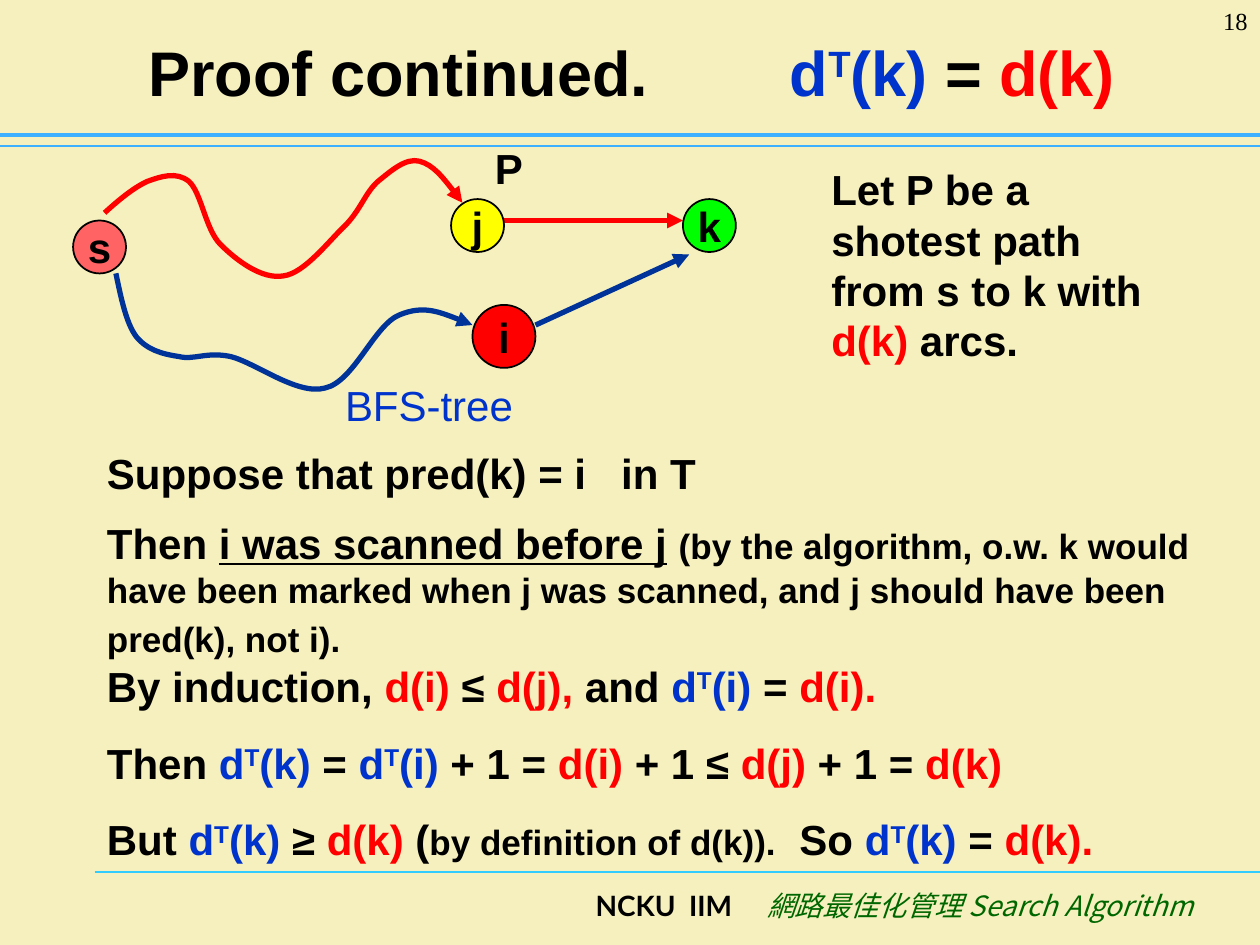
import pptx
import pptx.util
import pptx.dml.color
import pptx.enum.shapes
import pptx.enum.text
import pptx.oxml
import pptx.oxml.ns

PX = 9144  # EMU per px, 100 px to the inch
BLACK, RED, BLUE, NAVY = "000000", "FF0000", "0033CC", "003399"
SKY, GREEN = "3DB0FF", "006600"
ALIGN = pptx.enum.text.PP_ALIGN
ANCHOR = pptx.enum.text.MSO_ANCHOR
qn = pptx.oxml.ns.qn


def rgb(value):
    return pptx.dml.color.RGBColor.from_string(value)


def add_element(parent, tag, **attributes):
    element = parent.makeelement(qn(tag), attributes)
    parent.append(element)
    return element


# Runs: each is a text and its differences from bold black Arial
def run(text, color=BLACK, **style):
    return text, dict(style, color=color)


def red(text):
    return run(text, RED)


def tree_distance(node, after=""):
    return [run("d", BLUE), run("T", BLUE, sup=True), run(f"({node}){after}", BLUE)]


def add_runs(p, runs, size=24):
    for text, style in runs:
        if text == "\n":
            p.add_line_break()
            continue
        r = p.add_run()
        r.text = text
        font = r.font
        font.name = style.get("font", "Arial")
        font.size = pptx.util.Pt(style.get("size", size))
        font.bold = style.get("bold", True)
        font.italic = style.get("italic", False)
        font.underline = style.get("underline", False)
        font.color.rgb = rgb(style["color"])
        if style.get("sup"):
            r._r.get_or_add_rPr().set("baseline", "30000")
        if "font" in style:
            add_element(r._r.get_or_add_rPr(), "a:ea", typeface=font.name)


def add_text(s, box, paragraphs, size=24, align=ALIGN.LEFT, anchor=ANCHOR.TOP, tab=None):
    sp = s.shapes.add_textbox(*(v * PX for v in box))
    tf = sp.text_frame
    tf.word_wrap = True
    tf.vertical_anchor = anchor
    for n, runs in enumerate(paragraphs):
        p = tf.add_paragraph() if n else tf.paragraphs[0]
        p.alignment = align
        if n:
            p.space_before = pptx.util.Pt(15)
        if tab:
            tabs = add_element(p._p.get_or_add_pPr(), "a:tabLst")
            add_element(tabs, "a:tab", pos=str(tab * PX), algn="l")
        add_runs(p, runs, size)


def style_line(sp, color, width, arrow):
    sp.line.color.rgb = rgb(color)
    sp.line.width = pptx.util.Pt(width)
    if arrow:
        add_element(sp.line._get_or_add_ln(), "a:tailEnd", type="triangle")


def add_line(s, x1, y1, x2, y2, color, width=0.75, arrow=False):
    kind = pptx.enum.shapes.MSO_CONNECTOR.STRAIGHT
    sp = s.shapes.add_connector(kind, x1 * PX, y1 * PX, x2 * PX, y2 * PX)
    style_line(sp, color, width, arrow)
    add_element(sp._element.spPr, "a:effectLst")


def add_curve(s, x, y, points, color):
    """Draw cubic Béziers: a start, then two controls and an end for each."""
    builder = s.shapes.build_freeform(*points[0], scale=PX)
    builder.add_line_segments(points[1:], close=False)
    sp = builder.convert_to_shape(x * PX, y * PX)
    outline = next(sp._element.iter(qn("a:path")))
    segments = outline.findall(qn("a:lnTo"))
    for n in range(0, len(segments), 3):
        cubic = add_element(outline, "a:cubicBezTo")
        for segment in segments[n:n + 3]:
            cubic.append(segment[0])
            outline.remove(segment)
    sp.fill.background()
    style_line(sp, color, 3, True)
    sp.shadow.inherit = False


def add_node(s, x, y, size, name, color):
    oval = pptx.enum.shapes.MSO_SHAPE.OVAL
    sp = s.shapes.add_shape(oval, x * PX, y * PX, size * PX, size * PX)
    sp.fill.solid()
    sp.fill.fore_color.rgb = rgb(color)
    style_line(sp, BLACK, 1, False)
    sp.shadow.inherit = False
    tf = sp.text_frame
    tf.word_wrap = False
    tf.vertical_anchor = ANCHOR.MIDDLE
    tf.paragraphs[0].alignment = ALIGN.CENTER
    add_runs(tf.paragraphs[0], [run(name)])


def add_header(s, x, y, w, h):
    add_line(s, x, y + h, x + w, y + h, SKY)
    add_line(s, x, y + 107, x + w, y + 107, SKY, 2.5)
    title = [run("Proof continued."), run("\t"), *tree_distance("k"), run(" = "), red("d(k)")]
    add_text(s, (x + 108, y + 13, w - 160, 87), [title], 36, anchor=ANCHOR.MIDDLE, tab=509)
    number = run("18", font="Times New Roman", bold=False)
    add_text(s, (x + w - 83, y, 83, 50), [[number]], 14, ALIGN.RIGHT)


def add_diagram(s, x, y):
    add_curve(s, x, y, [
        (25, 61), (36, 51), (48, 41), (59, 36), (70, 32), (82, 28), (92, 36),
        (102, 45), (105, 74), (117, 86), (130, 99), (150, 114), (167, 111),
        (184, 109), (204, 82), (217, 70), (229, 57), (232, 45), (242, 36),
        (252, 28), (264, 17), (275, 20), (286, 23), (298, 38), (309, 53)], RED)
    add_curve(s, x, y, [
        (34, 109), (38, 128), (42, 148), (50, 159), (59, 170), (71, 173), (84, 175),
        (96, 178), (106, 171), (125, 175), (145, 180), (178, 206), (200, 200),
        (223, 195), (239, 150), (259, 142), (278, 134), (298, 142), (317, 150)], NAVY)
    add_line(s, x + 342, y + 67, x + 484, y + 67, RED, 3, True)
    add_line(s, x + 367, y + 150, x + 489, y + 94, NAVY, 3, True)
    for dx, dy, size, name, color in [(0, 67, 42, "s", "FF6363"), (300, 50, 42, "j", "FFFF00"),
                                      (484, 50, 42, "k", "00FF00"), (317, 134, 50, "i", RED)]:
        add_node(s, x + dx, y + dy, size, name, color)
    add_text(s, (x + 325, y, 50, 50), [[run("P")]])
    add_text(s, (x + 206, y + 188, 170, 50), [[run("BFS-tree", BLUE, bold=False)]])


def add_proof(s, x, y, w):
    add_text(s, (x, y, w, 50), [[run("Suppose that pred(k) = i   in T")]])
    add_text(s, (x, y + 56, w, 285), [
        [run("Then "), run("i was scanned before j", underline=True), run(" "),
         run("(by the algorithm, o.w. k would have been marked when j was scanned, "
             "and j should have been pred(k), not i).", size=20),
         run(" "), run("\n"), run("By induction, "), red("d(i) "), run("≤ "), red("d(j),"),
         run(" and "), *tree_distance("i"), run(" = "), red("d(i).")],
        [run("Then "), *tree_distance("k"), run(" = "), *tree_distance("i"), run(" + 1 = "),
         red("d(i)"), run(" + 1 ≤ "), red("d(j)"), run(" + 1 = "), red("d(k)")],
        [run("But "), *tree_distance("k", " "), run("≥ "), red("d(k) "), run("("),
         run("by definition of d(k)).", size=20), run("  So "), *tree_distance("k"),
         run(" = "), red("d(k).")]])


def add_footer(s, x, y, w):
    add_line(s, x, y, x + w, y, "33CCFF")
    course = run("網路最佳化管理 Search Algorithm", GREEN, font="Noto Sans CJK SC",
                 bold=False, italic=True)
    add_text(s, (x + 388, y + 8, 510, 50), [[run("NCKU  IIM", font="Lato"), run("\t"), course]],
             16, tab=136)


def main():
    prs = pptx.Presentation()
    prs.slide_width, prs.slide_height = 1000 * PX, 750 * PX
    s = prs.slides.add_slide(prs.slide_layouts[6])
    s.background.fill.solid()
    s.background.fill.fore_color.rgb = rgb("F5F0BD")
    add_header(s, 0, 0, 1000, 116)
    add_diagram(s, 58, 108)
    add_text(s, (650, 125, 300, 170),
             [[run("Let P be a shotest path from s to k with "), red("d(k)"), run(" arcs.")]])
    add_proof(s, 75, 350, 882)
    add_footer(s, 75, 692, 925)
    prs.save("out.pptx")


if __name__ == "__main__":
    main()
